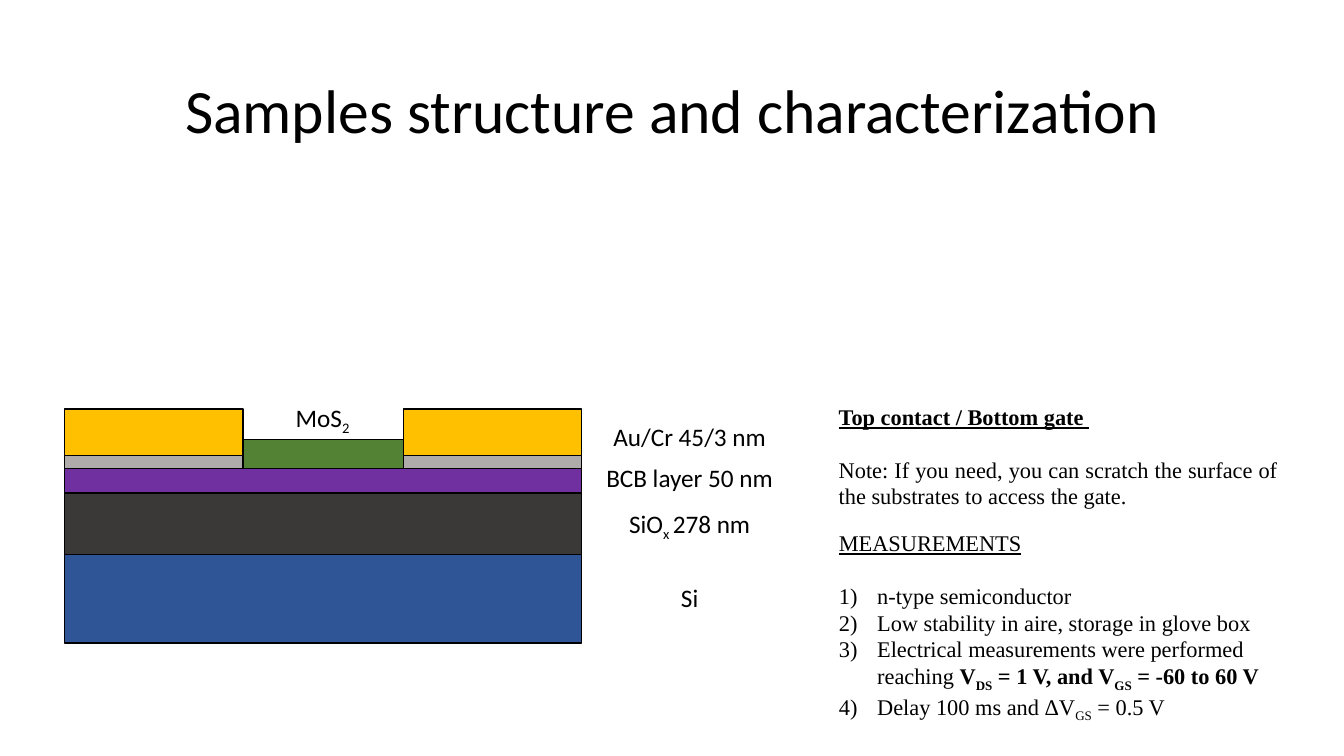
from lxml import etree
from pptx import Presentation
from pptx.dml.color import RGBColor
from pptx.enum.shapes import MSO_SHAPE
from pptx.enum.text import MSO_ANCHOR, MSO_AUTO_SIZE, PP_ALIGN
from pptx.oxml.ns import qn
from pptx.util import Inches, Pt

RECTANGLE = MSO_SHAPE.RECTANGLE
TOP, MIDDLE = MSO_ANCHOR.TOP, MSO_ANCHOR.MIDDLE
LEFT, CENTER, JUSTIFY = PP_ALIGN.LEFT, PP_ALIGN.CENTER, PP_ALIGN.JUSTIFY
NO_AUTOFIT = MSO_AUTO_SIZE.NONE

BLACK = RGBColor(0x00, 0x00, 0x00)
SILICON = RGBColor(0x2F, 0x55, 0x97)
OXIDE = RGBColor(0x3B, 0x38, 0x38)
BCB = RGBColor(0x70, 0x30, 0xA0)
MOS2 = RGBColor(0x54, 0x82, 0x35)
GOLD = RGBColor(0xFF, 0xC0, 0x00)
CHROMIUM = RGBColor(0xAF, 0xAB, 0xAB)
SANS, SERIF = "Calibri", "Times New Roman"


def place(box, left, top, width, height):
    box.left, box.top = Inches(left), Inches(top)
    box.width, box.height = Inches(width), Inches(height)


def write(box, paragraphs, font=SANS, size=18, align=LEFT, anchor=TOP,
          spacing=1.0, gap=18.4):
    """Each paragraph is (kind, spans); each span is (text, marks).

    Marks: b bold, u underlined, s subscript. Headings leave a gap below.
    """
    frame = box.text_frame
    frame.word_wrap = True
    frame.auto_size = NO_AUTOFIT
    frame.vertical_anchor = anchor
    for index, (kind, spans) in enumerate(paragraphs):
        para = frame.paragraphs[0] if index == 0 else frame.add_paragraph()
        para.alignment = align
        para.line_spacing = spacing
        para.space_before = Pt(0)
        para.space_after = Pt(gap if kind == "heading" else 0)
        properties = para._p.get_or_add_pPr()
        indent = Inches(0.38) if kind == "numbered" else 0
        properties.set("marL", str(indent))
        properties.set("indent", str(-indent))
        if kind == "numbered":
            etree.SubElement(properties, qn("a:buFont"), typeface="+mj-lt")
            etree.SubElement(properties, qn("a:buAutoNum"), type="arabicParenR")
        else:
            etree.SubElement(properties, qn("a:buNone"))
        for text, marks in spans:
            span = para.add_run()
            span.text = text
            span.font.name, span.font.size = font, Pt(size)
            span.font.color.rgb = BLACK
            span.font.bold = "b" in marks
            span.font.underline = "u" in marks
            if "s" in marks:
                span._r.get_or_add_rPr().set("baseline", "-25000")


deck = Presentation()
deck.slide_width, deck.slide_height = Inches(13.33), Inches(7.5)
page = deck.slides.add_slide(deck.slide_layouts[1])

# Title
title = page.shapes.title
place(title, 0.92, 0.4, 11.5, 1.45)
write(title, [("plain", [("Samples structure and characterization", "")])],
      size=44, align=CENTER, anchor=MIDDLE, spacing=0.9)

# Measurement list
measurements = page.placeholders[1]
place(measurements, 8.22, 5.2, 4.55, 1.99)
write(measurements, [
    ("heading", [("MEASUREMENTS", "u")]),
    ("numbered", [("n-type semiconductor", "")]),
    ("numbered", [("Low stability in aire, storage in glove box", "")]),
    ("numbered", [("Electrical measurements were performed reaching ", ""),
                  ("V", "b"), ("DS", "bs"), (" = 1 V, and V", "b"),
                  ("GS", "bs"), (" = -60 to 60 V", "b")]),
    ("numbered", [("Delay 100 ms and ΔV", ""), ("GS", "s"), (" = 0.5 V", "")]),
], font=SERIF, size=16)

# Contact note
note = page.shapes.add_textbox(Inches(8.22), Inches(3.95), Inches(4.55), Inches(1.18))
write(note, [
    ("heading", [("Top contact / Bottom gate ", "bu")]),
    ("plain", [("Note: If you need, you can scratch the surface of the "
                "substrates to access the gate.", "")]),
], font=SERIF, size=16, align=JUSTIFY)

# Device cross-section: full-width layers, channel, then the two contacts
stack_left, stack_width, contact_width = 0.64, 5.13, 1.77
layers = [
    (stack_left, 5.5, stack_width, 0.88, SILICON),
    (stack_left, 4.89, stack_width, 0.61, OXIDE),
    (stack_left, 4.65, stack_width, 0.24, BCB),
    (2.33, 4.36, 1.75, 0.29, MOS2),
]
for contact_left in (stack_left, stack_left + stack_width - contact_width):
    layers.append((contact_left, 4.06, contact_width, 0.46, GOLD))
    layers.append((contact_left, 4.52, contact_width, 0.13, CHROMIUM))
for left, top, width, height, color in layers:
    layer = page.shapes.add_shape(RECTANGLE, Inches(left), Inches(top),
                                  Inches(width), Inches(height))
    layer.shadow.inherit = False
    layer.fill.solid()
    layer.fill.fore_color.rgb = color
    layer.line.color.rgb = BLACK
    layer.line.width = Pt(1)

# Layer labels, each centred on its column
label_width, channel_center, legend_center = 2.1, 3.2, 6.84
labels = [
    (channel_center, 3.94, [("MoS", ""), ("2", "s")]),
    (legend_center, 4.13, [("Au/Cr 45/3 nm", "")]),
    (legend_center, 4.54, [("BCB layer 50 nm", "")]),
    (legend_center, 4.99, [("SiO", ""), ("x ", "s"), ("278 nm", "")]),
    (legend_center, 5.73, [("Si", "")]),
]
for center, top, spans in labels:
    label = page.shapes.add_textbox(Inches(center - label_width / 2), Inches(top),
                                    Inches(label_width), Inches(0.4))
    write(label, [("plain", spans)], align=CENTER)

deck.save("out.pptx")
